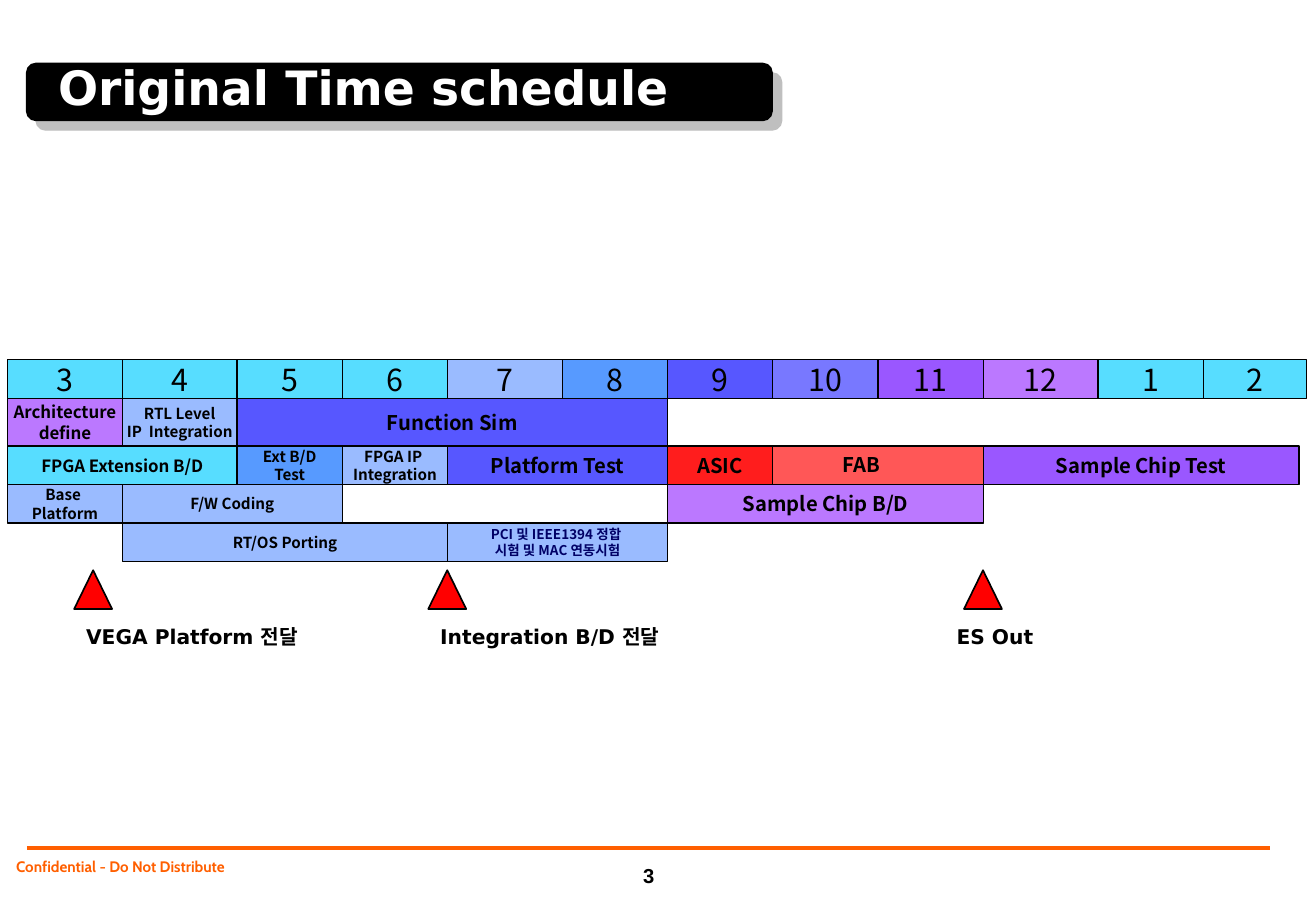
from itertools import accumulate

from pptx import Presentation
from pptx import util as u
from pptx.dml.color import RGBColor
from pptx.enum import shapes, text
from pptx.oxml import parse_xml
from pptx.oxml.ns import nsdecls, qn

NOTO, DEJA = "Noto Sans CJK KR", "DejaVu Sans"
BLACK, WHITE, RED, ORANGE = "000000", "FFFFFF", "FF0000", "FF5F00"
CYAN, PALE, SKY, BLUE = "00CCFF", "6699FF", "0066FF", "0000FF"
INDIGO, VIOLET, PURPLE, NAVY = "3333FF", "6600FF", "9933FF", "000066"

TITLE = "Original Time schedule"
NOTICE = "Confidential - Do Not Distribute"
PAGE = "3"

# month, column width, fill
MONTHS = [
    ("3", 68, CYAN), ("4", 68, CYAN), ("5", 62.5, CYAN), ("6", 62.5, CYAN),
    ("7", 68, PALE), ("8", 62.5, SKY), ("9", 62.25, BLUE),
    ("10", 62.5, INDIGO), ("11", 62.5, VIOLET), ("12", 68, PURPLE),
    ("1", 62.5, CYAN), ("2", 61, CYAN),
]
ROWS = [23, 28, 23, 22.75, 22.75]  # heights, months first
CHIP_END = 13  # edge just short of the last month's end

# row, first edge, last edge, fill, size, lines
TASKS = [
    (1, 0, 1, PURPLE, 10, ["Architecture", "define"]),
    (1, 1, 2, PALE, 9, ["RTL Level", "IP  Integration"]),
    (1, 2, 6, BLUE, 12, ["Function Sim"]),
    (2, 0, 2, CYAN, 10, ["FPGA Extension B/D"]),
    (2, 2, 3, SKY, 9, ["Ext B/D", "Test"]),
    (2, 3, 4, PALE, 9, ["FPGA IP ", "Integration"]),
    (2, 4, 6, BLUE, 12, ["Platform Test"]),
    (2, 6, 9, RED, 12, []),
    (2, 6, 7, RED, 12, ["ASIC"]),
    (2, 9, CHIP_END, VIOLET, 12, ["Sample Chip Test"]),
    (3, 0, 1, PALE, 9, ["Base ", "Platform"]),
    (3, 1, 3, PALE, 9, ["F/W Coding"]),
    (3, 6, 9, PURPLE, 12, ["Sample Chip B/D"]),
    (4, 1, 4, PALE, 9, ["RT/OS Porting"]),
    (4, 4, 6, PALE, 8, ["PCI 및 IEEE1394 정합 ", "시험 및 MAC 연동시험"]),
]

# marker left, label left, label width, label
MARKS = [
    (44, 44, 170, "VEGA Platform 전달"),
    (254, 254, 170, "Integration B/D 전달"),
    (571.75, 560.25, 142, "ES Out"),
]

EDGES = list(accumulate((wide for _, wide, _ in MONTHS), initial=4.5)) + [770.5]
TOPS = list(accumulate(ROWS, initial=213.3))

deck = Presentation()
deck.slide_width = u.Pt(780.48)
deck.slide_height = u.Pt(540)
slide = deck.slides.add_slide(deck.slide_layouts[5])
tree = slide.shapes


def rgb(code):
    return RGBColor.from_string(code)


def write(frame, lines, size, face, color=BLACK, bold=True, align="LEFT",
          anchor="TOP", inset=(7.2, 3.6, 7.2, 3.6), wrap=True):
    frame.auto_size = text.MSO_AUTO_SIZE.NONE
    frame.word_wrap = wrap
    frame.vertical_anchor = getattr(text.MSO_ANCHOR, anchor)
    (frame.margin_left, frame.margin_top,
     frame.margin_right, frame.margin_bottom) = map(u.Pt, inset)
    for n, line in enumerate(lines):
        para = frame.paragraphs[0] if n == 0 else frame.add_paragraph()
        run = para.add_run()
        run.text = line
        para.alignment = getattr(text.PP_ALIGN, align)
        for font in (para.font, run.font):
            font.size, font.bold, font.name = u.Pt(size), bold, face
            font.color.rgb = rgb(color)
        run._r.rPr.find(qn("a:latin")).addnext(
            parse_xml(f'<a:ea {nsdecls("a")} typeface="{NOTO}"/>'))


def label(box, line, size, face, **style):
    frame = tree.add_textbox(*map(u.Pt, box)).text_frame
    write(frame, [line], size, face, **style)
    return frame


def draw(kind, box, fill, width=0.75, alpha=None):
    shape = tree.add_shape(getattr(shapes.MSO_SHAPE, kind), *map(u.Pt, box))
    shape.shadow.inherit = False
    shape.fill.solid()
    shape.fill.fore_color.rgb = rgb(fill)
    shape.line.color.rgb = rgb(BLACK)
    shape.line.width = u.Pt(width)
    if alpha:
        tone = shape._element.spPr.find(".//" + qn("a:srgbClr"))
        tone.append(parse_xml(
            f'<a:alpha {nsdecls("a")} val="{alpha * 1000}"/>'))
    return shape


def bar(row, first, last, fill, size, lines, bold=True, color=BLACK):
    box = (EDGES[first], TOPS[row], EDGES[last] - EDGES[first], ROWS[row])
    shape = draw("RECTANGLE", box, fill, alpha=66)
    write(shape.text_frame, lines, size, NOTO, color, bold,
          "CENTER", "MIDDLE", wrap=False)


# Footer
rule = tree.add_connector(shapes.MSO_CONNECTOR.STRAIGHT,
                          *map(u.Pt, (16, 502.75, 753, 502.75)))
rule.line.color.rgb = rgb(ORANGE)
rule.line.width = u.Pt(2)
rule._element.spPr.append(parse_xml(f'<a:effectLst {nsdecls("a")}/>'))
notice = label((6, 507.25, 263.5, 19.5), NOTICE, 9, "Cabin", color=ORANGE,
               inset=(3.6, 0, 3.6, 0))
notice.paragraphs[0].line_spacing = 1.1
label((373.5, 507.25, 22.5, 22.25), PAGE, 12, "Arial", align="CENTER",
      anchor="BOTTOM")

# Title on its banner
banner = draw("ROUNDED_RECTANGLE", (15.75, 37.5, 442.25, 34), BLACK)
banner._element.spPr.find(qn("a:effectLst")).append(parse_xml(
    f'<a:outerShdw {nsdecls("a")} blurRad="0" dist="{u.Pt(8)}" dir="2700000">'
    '<a:srgbClr val="808080"><a:alpha val="50000"/></a:srgbClr>'
    '</a:outerShdw>'))
title = tree.title
title.left, title.top, title.width, title.height = map(
    u.Pt, (27.25, 14.5, 425.5, 74))
write(title.text_frame, [TITLE], 28, DEJA, WHITE, anchor="MIDDLE",
      inset=(7.2, 4.3, 7.2, 4.3))
banner._element.addnext(title._element)

# Schedule
for col, (month, _, fill) in enumerate(MONTHS):
    bar(0, col, col + 1, fill, 18, [month], bold=False)
for task in TASKS:
    bar(*task, color=NAVY if task[4] == 8 else BLACK)
label((492.5, TOPS[2], 124.5, 21.5), "FAB", 12, NOTO)

# Milestones
for left, start, wide, name in MARKS:
    draw("ISOSCELES_TRIANGLE", (left, 338, 22.5, 23), RED, width=1)
    label((start, 366.75, wide, 21.5), name, 12, DEJA)

deck.save("out.pptx")
